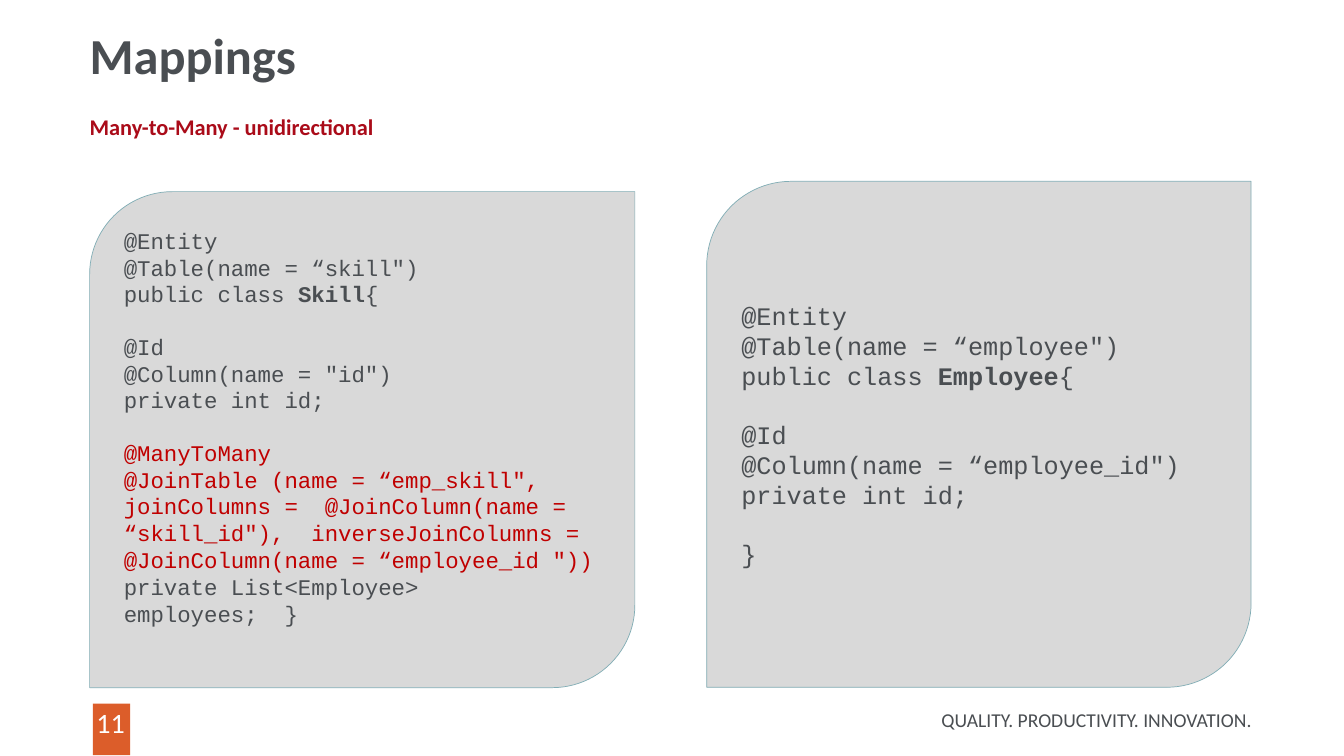
from pptx import Presentation
from pptx.dml.color import RGBColor
from pptx.enum.shapes import MSO_SHAPE
from pptx.enum.text import MSO_ANCHOR, PP_ALIGN
from pptx.util import Cm, Pt

RECTANGLE = MSO_SHAPE.RECTANGLE
DIAGONAL_ROUND = MSO_SHAPE.ROUND_2_DIAG_RECTANGLE
LEFT, CENTER, RIGHT = PP_ALIGN.LEFT, PP_ALIGN.CENTER, PP_ALIGN.RIGHT
TOP, MIDDLE = MSO_ANCHOR.TOP, MSO_ANCHOR.MIDDLE

COLORS = {
    "ink": "4A4E52",
    "heading": "AA0B19",
    "mapping": "C00000",
    "panel": "D9D9D9",
    "panel_edge": "81ADB5",
    "badge": "DC5D2A",
    "white": "FFFFFF",
}
BODY_FONT, CODE_FONT = "Calibri", "Courier New"
CODE_LINE = 1.133

SKILL_CODE = [
    [("@Entity", "@Table(name = “skill\")", ("public class ", "Skill", "{")), "ink"],
    [("@Id", "@Column(name = \"id\")", "private int id;"), "ink"],
    [("@ManyToMany",
      "@JoinTable (name = “emp_skill\", joinColumns =  @JoinColumn(name = “skill_id\"),"
      "  inverseJoinColumns =  @JoinColumn(name = “employee_id \"))"), "mapping"],
]
SKILL_END = "private List<Employee> employees;  }"
EMPLOYEE_CODE = [
    [("@Entity", "@Table(name = “employee\")", ("public class ", "Employee", "{")), "ink"],
    [("@Id", "@Column(name = “employee_id\")", "private int id;"), "ink"],
    [("}",), "ink"],
]


def rgb(name):
    return RGBColor.from_string(COLORS[name])


def style(paragraph, font, size, color, bold=None):
    paragraph.font.name = font
    paragraph.font.size = Pt(size)
    paragraph.font.color.rgb = rgb(color)
    paragraph.font.bold = bold


def add_label(slide, text, box, size, color, bold=False, align=LEFT, anchor=TOP,
              insets=(0, 0, 0, 0), spacing=1.0):
    frame = slide.shapes.add_textbox(*map(Cm, box)).text_frame
    frame.word_wrap = True
    frame.vertical_anchor = anchor
    (frame.margin_left, frame.margin_top,
     frame.margin_right, frame.margin_bottom) = map(Cm, insets)
    label = frame.paragraphs[0]
    label.text = text
    label.alignment = align
    label.line_spacing = spacing
    style(label, BODY_FONT, size, color, bold)


def add_block(slide, preset, box, fill, edge=None):
    block = slide.shapes.add_shape(preset, *map(Cm, box))
    block.shadow.inherit = False
    block.fill.solid()
    block.fill.fore_color.rgb = rgb(fill)
    if edge:
        block.line.color.rgb = rgb(edge)
        block.line.width = Pt(0.5)
    else:
        block.line.fill.background()
    return block


def add_code_line(frame, line, size, color, first):
    statement = frame.paragraphs[0] if first else frame.add_paragraph()
    statement.alignment = LEFT
    style(statement, CODE_FONT, size, color)
    if isinstance(line, str):
        statement.text = line
    else:
        for position, part in enumerate(line):
            run = statement.add_run()
            run.text = part
            run.font.bold = position == 1
    return statement


def add_code_panel(slide, box, groups, size, ending=None):
    panel = add_block(slide, DIAGONAL_ROUND, box, "panel", "panel_edge")
    frame = panel.text_frame
    frame.word_wrap = True
    frame.vertical_anchor = MIDDLE
    for group, (lines, color) in enumerate(groups):
        for row, line in enumerate(lines):
            statement = add_code_line(frame, line, size, color, group == row == 0)
            if group and row == 0:
                statement.space_before = Pt(round(size * CODE_LINE, 1))
    if ending:
        add_code_line(frame, ending, size, "ink", False)
        frame.margin_bottom = Cm(0.77)


def main():
    """Build the many-to-many mapping slide."""
    deck = Presentation()
    deck.slide_width, deck.slide_height = Cm(33.87), Cm(19.05)
    slide = deck.slides.add_slide(deck.slide_layouts[6])

    add_block(slide, RECTANGLE, (2.34, 17.73, 0.94, 1.3), "badge")
    add_label(slide, "11", (2.18, 17.78, 1.22, 0.86), 20, "white", align=CENTER)

    text_insets = (0, 0.13, 0.25, 0.13)
    add_label(slide, "Many-to-Many - unidirectional", (2.26, 2.79, 29.29, 14.5), 16,
              "heading", bold=True, insets=text_insets, spacing=0.9)
    add_label(slide, "QUALITY. PRODUCTIVITY. INNOVATION.", (21.21, 17.63, 10.34, 1.02),
              14, "ink", align=RIGHT, anchor=MIDDLE)
    add_label(slide, "Mappings", (2.26, 0.66, 23.65, 3.02), 36, "ink",
              bold=True, insets=text_insets, spacing=0.9)

    add_code_panel(slide, (2.26, 4.83, 13.74, 12.5), SKILL_CODE, 16, SKILL_END)
    add_code_panel(slide, (17.81, 4.57, 13.72, 12.75), EMPLOYEE_CODE, 18)

    deck.save("out.pptx")


if __name__ == "__main__":
    main()
